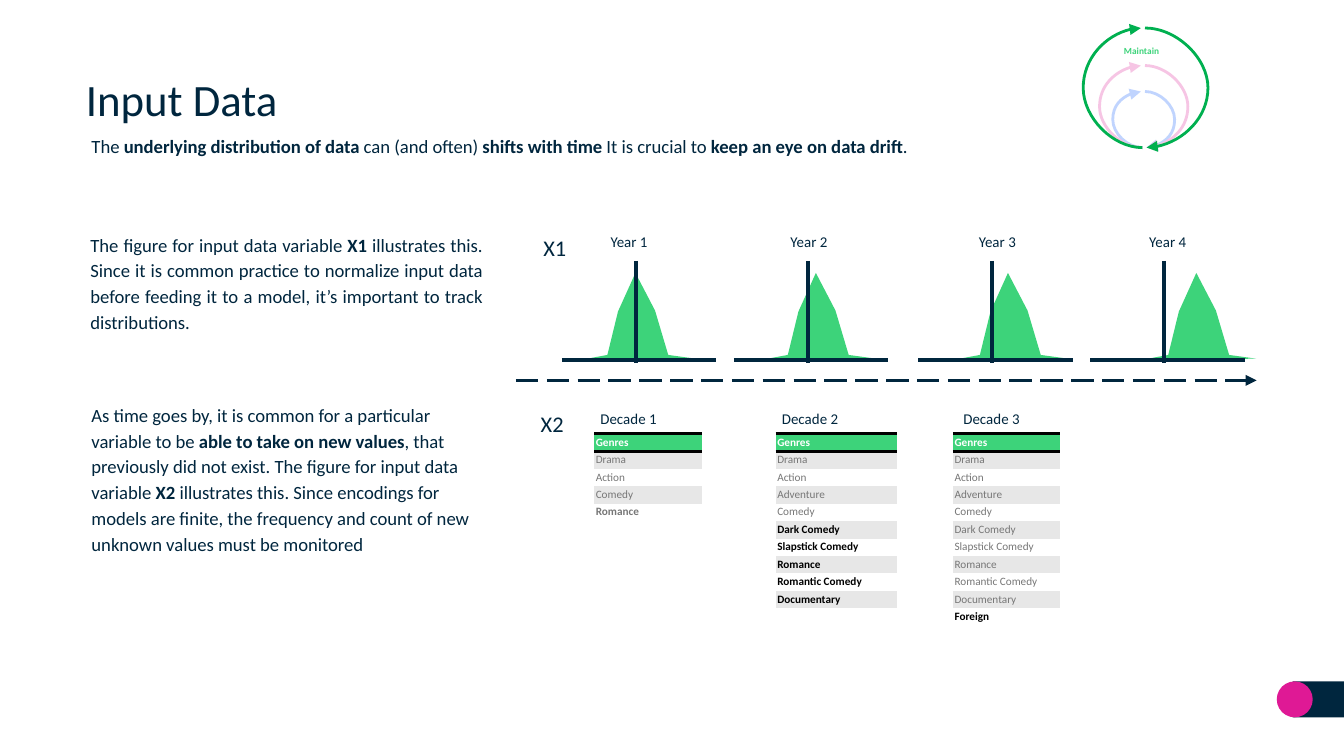
from lxml.etree import SubElement
from pptx import Presentation
from pptx.dml.color import RGBColor
from pptx.enum.dml import MSO_LINE
from pptx.enum.shapes import MSO_CONNECTOR as Link, MSO_SHAPE as Preset
from pptx.enum.text import MSO_ANCHOR as Anchor, MSO_AUTO_SIZE as AutoSize, PP_ALIGN as Align
from pptx.oxml.ns import qn
from pptx.util import Cm, Pt

NAVY = RGBColor(0x00, 0x26, 0x3E)
GREEN = RGBColor(0x3D, 0xD3, 0x7A)
DARK_GREEN = RGBColor(0x00, 0xB0, 0x50)
MAGENTA = RGBColor(0xDF, 0x19, 0x95)
BLUE = RGBColor(0x06, 0x54, 0xFE)
GREY = RGBColor(0x77, 0x77, 0x77)
STRIPE = RGBColor(0xE7, 0xE7, 0xE7)
BLACK = RGBColor(0x00, 0x00, 0x00)
WHITE = RGBColor(0xFF, 0xFF, 0xFF)

FONT = "Calibri"
INSET = Cm(0.03)
PLAIN_TABLE = "{2D5ABB26-0587-4C30-8999-92F81FD0307C}"
MARGINS = ("margin_left", "margin_top", "margin_right", "margin_bottom")


class SlideBuilder:
    def __init__(self, slide, font=FONT, color=NAVY):
        self.slide = slide
        self.shapes = slide.shapes
        self.font = font
        self.color = color

    def add_runs(self, paragraph, text, size, color=None, bold=False):
        """Add runs to the paragraph; parts between asterisks become bold."""
        for i, part in enumerate(text.split("*")):
            if part:
                run = paragraph.add_run()
                run.text = part
                style = {"name": self.font, "size": Pt(size), "bold": bold or i % 2 == 1}
                for name, value in style.items():
                    setattr(run.font, name, value)
                run.font.color.rgb = color or self.color

    def title(self, text, left, top, width, height):
        title = self.shapes.title
        place = {"left": left, "top": top, "width": width, "height": height}
        for name, value in place.items():
            setattr(title, name, Cm(value))
        frame = title.text_frame
        frame.vertical_anchor = Anchor.MIDDLE
        frame.auto_size = AutoSize.NONE
        frame.paragraphs[0].alignment = Align.LEFT
        self.add_runs(frame.paragraphs[0], text, 24)

    def text(self, text, left, top, width, height, size, align=Align.LEFT, **style):
        box = self.shapes.add_textbox(Cm(left), Cm(top), Cm(width), Cm(height))
        frame = box.text_frame
        frame.word_wrap = True
        frame.auto_size = AutoSize.SHAPE_TO_FIT_TEXT
        for margin in MARGINS:
            setattr(frame, margin, INSET)
        paragraph = frame.paragraphs[0]
        paragraph.alignment = align
        paragraph.line_spacing = 1.15
        self.add_runs(paragraph, text, size, **style)

    def paint(self, shape, color, opacity=100):
        shape.shadow.inherit = False
        shape.fill.solid()
        shape.fill.fore_color.rgb = color
        shape.line.fill.background()
        if opacity < 100:
            tint = shape._element.spPr.find(qn("a:solidFill"))[0]
            SubElement(tint, qn("a:alpha"), val=str(opacity * 1000))

    def shape(self, preset, left, top, width, height, color, opacity=100):
        shape = self.shapes.add_shape(preset, Cm(left), Cm(top), Cm(width), Cm(height))
        self.paint(shape, color, opacity)

    def outline(self, points, color):
        points = [(Cm(x), Cm(y)) for x, y in points]
        builder = self.shapes.build_freeform(*points[0])
        builder.add_line_segments(points[1:])
        self.paint(builder.convert_to_shape(), color)

    def line(self, x1, y1, x2, y2, color=NAVY, width=2.25, kind=Link.STRAIGHT, dash=None, arrow=False):
        link = self.shapes.add_connector(kind, Cm(x1), Cm(y1), Cm(x2), Cm(y2))
        link.line.color.rgb = color
        link.line.width = Pt(width)
        if dash:
            link.line.dash_style = dash
        properties = link._element.spPr
        if arrow:
            SubElement(properties.find(qn("a:ln")), qn("a:tailEnd"), type="triangle")
        SubElement(properties, qn("a:effectLst"))
        return link

    def arc(self, left, top, bottom, bulge, color, turned=False):
        """Draw half a loop that bulges right, or left and upwards when turned."""
        width = 0.03
        arc = self.line(left, top, left + width, bottom, color, 1.5, Link.CURVE, arrow=True)
        properties = arc._element.spPr
        adjustments = properties.find(qn("a:prstGeom")).get_or_add_avLst()
        SubElement(adjustments, qn("a:gd"), name="adj1", fmla=f"val {round(bulge / width * 100000)}")
        if turned:
            properties.find(qn("a:xfrm")).set("rot", "10800000")

    def table(self, rows, left, top, width, row_height):
        """Fill a one-column table from (text, color, bold) rows, the first being the header."""
        frame = self.shapes.add_table(len(rows), 1, Cm(left), Cm(top), Cm(width), Cm(row_height * len(rows)))
        table = frame.table
        table._tbl.tblPr.find(qn("a:tableStyleId")).text = PLAIN_TABLE
        table.first_row = table.horz_banding = False
        for i, (text, color, bold) in enumerate(rows):
            table.rows[i].height = Cm(row_height)
            cell = table.cell(i, 0)
            for margin in MARGINS:
                setattr(cell, margin, INSET)
            self.add_runs(cell.text_frame.paragraphs[0], text, 6, color, bold)
            if i == 0:
                self.rule(cell)
            cell.fill.solid()
            cell.fill.fore_color.rgb = GREEN if i == 0 else STRIPE if i % 2 else WHITE

    def rule(self, cell):
        """Give the cell black top and bottom borders."""
        for side in ("a:lnT", "a:lnB"):
            border = SubElement(cell._tc.get_or_add_tcPr(), qn(side), w=str(Pt(2)))
            fill = SubElement(border, qn("a:solidFill"))
            SubElement(fill, qn("a:srgbClr"), val=str(BLACK))


def draw_drift(page):
    curve = [(-1.07, 6.81), (-0.53, 6.71), (-0.33, 5.89), (0, 5.16), (0.37, 5.87), (0.62, 6.71), (1.13, 6.78)]
    # label left, baseline left, peak of the distribution
    years = [(11.51, 10.62, 12.01), (14.91, 13.87, 15.42), (18.47, 17.35, 19.05), (21.69, 20.6, 22.61)]
    page.text("X1", 10.24, 4.32, 0.61, 0.64, 12)
    for number, (label, base, peak) in enumerate(years, 1):
        page.text(f"Year {number}", label, 4.32, 1.4, 0.33, 8)
        page.outline([(peak + x, y) for x, y in curve], GREEN)
        page.line(base, 6.81, base + 2.92, 6.81)
        page.line(base + 1.4, 4.93, base + 1.4, 6.86)
    page.line(9.75, 7.19, 23.75, 7.19, width=1.5, dash=MSO_LINE.LONG_DASH, arrow=True)


def draw_genres(page):
    first = ["Drama", "Action", "Comedy"]
    second = ["Drama", "Action", "Adventure", "Comedy"]
    added = ["Dark Comedy", "Slapstick Comedy", "Romance", "Romantic Comedy", "Documentary"]
    # table left, width, known genres, emphasised genres, emphasis colour
    decades = [
        (11.23, 2.03, first, ["Romance"], GREY),
        (14.66, 2.29, second, added, BLACK),
        (18.01, 2.03, second + added, ["Foreign"], BLACK),
    ]
    page.text("X2", 10.19, 7.65, 0.66, 0.64, 12)
    for i, (left, width, known, emphasised, color) in enumerate(decades):
        rows = [("Genres", WHITE, True)]
        rows += [(genre, GREY, False) for genre in known]
        rows += [(genre, color, True) for genre in emphasised]
        page.table(rows, left, 8.2, width, 0.33)
        page.text(f"Decade {i + 1}", 10.85 + 3.43 * i, 7.67, 2.06, 0.46, 8, Align.CENTER)


def draw_cycle(page):
    # colour, top, left bulge, right bulge
    loops = [(BLUE, 1.73, 0.56, 0.56), (MAGENTA, 1.24, 0.81, 0.81), (DARK_GREEN, 0.53, 1.12, 1.19)]
    for color, top, left_bulge, right_bulge in loops:
        if color == DARK_GREEN:  # a veil fades the inner loops
            page.shape(Preset.OVAL, 20.37, 0.38, 2.54, 2.54, WHITE, opacity=75)
        page.arc(21.56, top, 2.79, left_bulge, color, turned=True)
        page.arc(21.64, top, 2.79, right_bulge, color)
    page.text("Maintain", 20.65, 0.79, 1.85, 0.3, 5, Align.CENTER, color=GREEN, bold=True)


def main():
    deck = Presentation()
    deck.slide_width, deck.slide_height = Cm(25.4), Cm(14.29)
    page = SlideBuilder(deck.slides.add_slide(deck.slide_layouts[5]))

    page.shape(Preset.RECTANGLE, 24.43, 12.88, 0.97, 0.68, NAVY)
    page.shape(Preset.OVAL, 24.13, 12.88, 0.68, 0.68, MAGENTA)
    page.title("Input Data", 1.37, 1.17, 22.73, 1.4)
    page.text("The *underlying distribution of data* can (and often) *shifts with time* It is crucial to "
              "*keep an eye on data drift*.", 1.7, 2.46, 16.33, 1.04, 10, Align.JUSTIFY)
    page.text("The figure for input data variable *X1* illustrates this. Since it is common practice to "
              "normalize input data before feeding it to a model, it’s important to track distributions.",
              1.68, 4.32, 7.47, 2.51, 10, Align.JUSTIFY)
    page.text("As time goes by, it is common for a particular variable to be *able to take on new values*, "
              "that previously did not exist. The figure for input data variable *X2* illustrates this. "
              "Since encodings for models are finite, the frequency and count of new unknown values must "
              "be monitored", 1.7, 7.54, 7.47, 3.99, 10)
    draw_drift(page)
    draw_genres(page)
    draw_cycle(page)
    deck.save("out.pptx")


if __name__ == "__main__":
    main()
